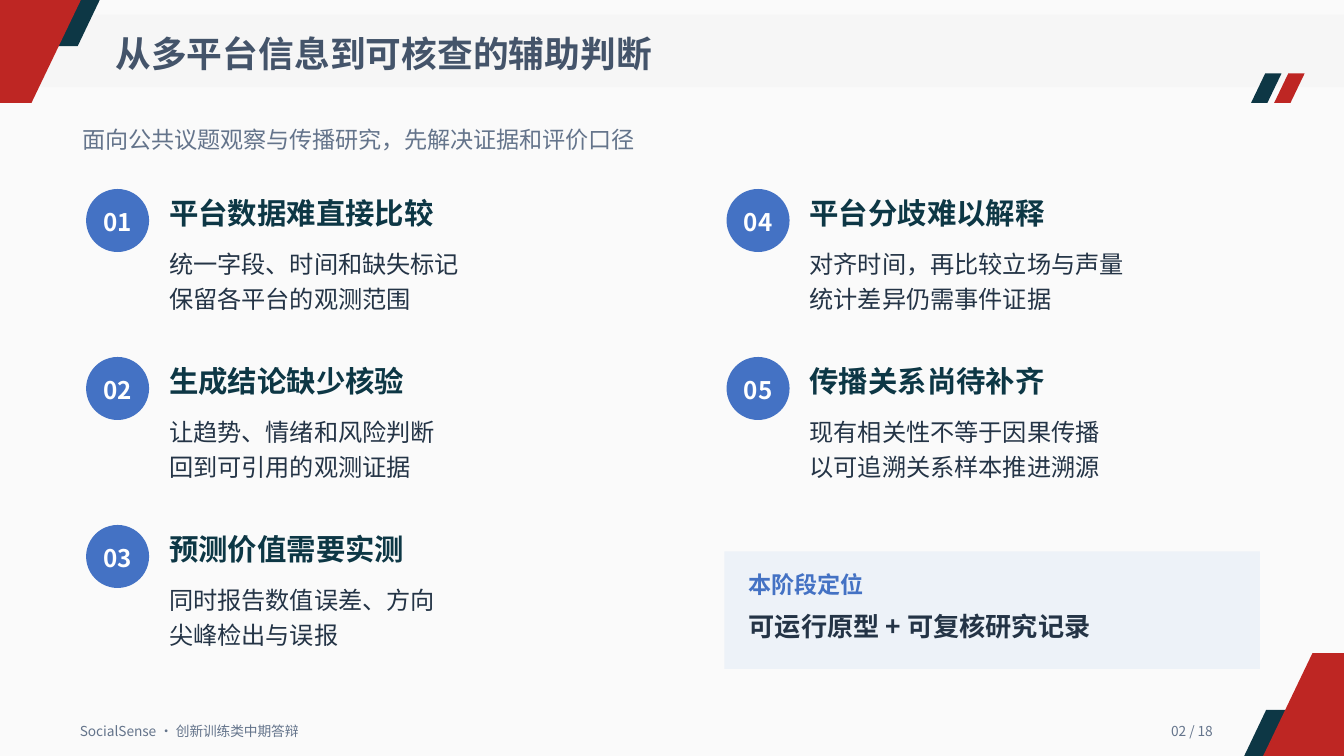
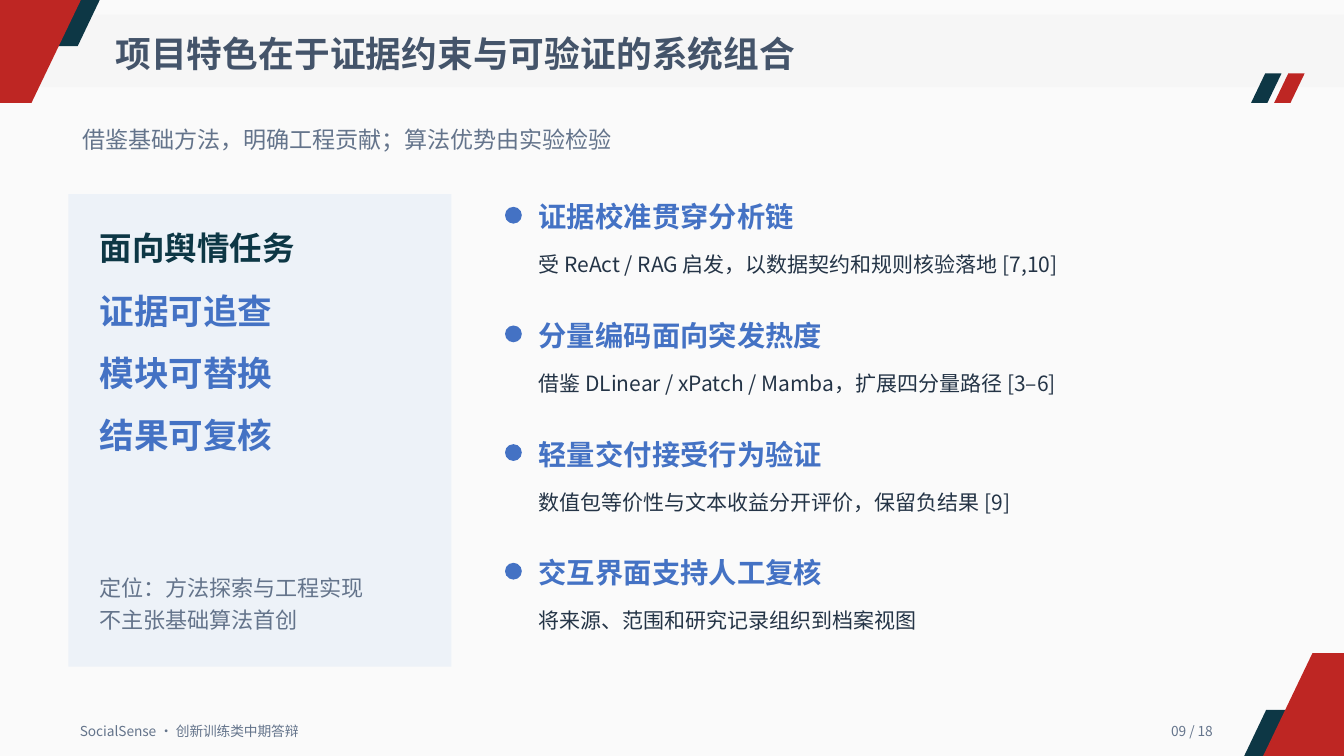
from dataclasses import dataclass

import pptx
import pptx.dml.color
import pptx.enum.shapes
import pptx.enum.text
import pptx.oxml.ns
import pptx.presentation
import pptx.shapes.autoshape
import pptx.slide
import pptx.text.text
import pptx.util
from lxml import etree

RGBColor = pptx.dml.color.RGBColor
Shape = pptx.enum.shapes.MSO_SHAPE
Align = pptx.enum.text.PP_ALIGN

# The slide is a grid of 1280 columns by 720 rows of square cells.
COLUMNS, ROWS = 1280, 720
CELL = pptx.util.Inches(7.5) // ROWS

FONT = "Noto Sans CJK SC"
PAPER = RGBColor(0xFA, 0xFA, 0xFA)
BAND = RGBColor(0xF6, 0xF6, 0xF6)
PANEL = RGBColor(0xED, 0xF2, 0xF8)
NAVY = RGBColor(0x0D, 0x37, 0x45)
RED = RGBColor(0xBE, 0x26, 0x23)
BLUE = RGBColor(0x44, 0x72, 0xC4)
SLATE = RGBColor(0x44, 0x54, 0x6A)
GRAY = RGBColor(0x64, 0x74, 0x8B)
INK = RGBColor(0x24, 0x34, 0x46)
WHITE = RGBColor(0xFF, 0xFF, 0xFF)

FOOTER = "SocialSense · 创新训练类中期答辩"
PAGE_COUNT = 18


@dataclass(frozen=True)
class Area:
    """A rectangle in grid columns and rows."""
    left: float
    top: float
    width: float
    height: float

    def emu(self) -> list[pptx.util.Emu]:
        sides = (self.left, self.top, self.width, self.height)
        return [pptx.util.Emu(round(side * CELL)) for side in sides]


@dataclass(frozen=True)
class Style:
    size: float
    color: RGBColor
    bold: bool = False
    leading: float | None = None
    align: Align = Align.LEFT


@dataclass(frozen=True)
class Corner:
    """A slanted corner piece: widths along its two edges, and its height."""
    outer: int
    inner: int
    height: int
    color: RGBColor


@dataclass(frozen=True)
class Topic:
    heading: str
    body: str


TITLE = Style(25.5, SLATE, bold=True)
SUBTITLE = Style(16.5, GRAY)
SMALL = Style(9.75, GRAY)
PAGE_NUMBER = Style(9.75, GRAY, align=Align.RIGHT)
BADGE = Style(17.25, WHITE, bold=True, align=Align.CENTER)
PROBLEM_HEADING = Style(21, NAVY, bold=True)
PROBLEM_BODY = Style(17.25, INK, leading=25)
STAGE_LABEL = Style(16.5, BLUE, bold=True)
STAGE_TEXT = Style(18.75, INK, bold=True)
TASK_HEADING = Style(23.25, NAVY, bold=True)
TASK_GOALS = Style(24.75, BLUE, bold=True, leading=44.5)
TASK_NOTE = Style(15.75, GRAY, leading=22.8)
FEATURE_HEADING = Style(20.25, BLUE, bold=True)
FEATURE_BODY = Style(15, INK)

CORNERS = (Corner(95, 74, 44, NAVY), Corner(77, 30, 98, RED))

PROBLEMS = (
    Topic("平台数据难直接比较", "统一字段、时间和缺失标记\n保留各平台的观测范围"),
    Topic("生成结论缺少核验", "让趋势、情绪和风险判断\n回到可引用的观测证据"),
    Topic("预测价值需要实测", "同时报告数值误差、方向\n尖峰检出与误报"),
    Topic("平台分歧难以解释", "对齐时间，再比较立场与声量\n统计差异仍需事件证据"),
    Topic("传播关系尚待补齐", "现有相关性不等于因果传播\n以可追溯关系样本推进溯源"),
)
FEATURES = (
    Topic("证据校准贯穿分析链", "受 ReAct / RAG 启发，以数据契约和规则核验落地 [7,10]"),
    Topic("分量编码面向突发热度", "借鉴 DLinear / xPatch / Mamba，扩展四分量路径 [3–6]"),
    Topic("轻量交付接受行为验证", "数值包等价性与文本收益分开评价，保留负结果 [9]"),
    Topic("交互界面支持人工复核", "将来源、范围和研究记录组织到档案视图"),
)


def write(frame: pptx.text.text.TextFrame, text: str, style: Style) -> None:
    """Fill a frame, one paragraph a line, without insets."""
    frame.margin_left = frame.margin_right = 0
    frame.margin_top = frame.margin_bottom = 0
    frame.word_wrap = True
    frame.text = text
    for para in frame.paragraphs:
        para.alignment = style.align
        if style.leading:
            para.line_spacing = pptx.util.Pt(style.leading)
        font = para.font
        font.name = FONT
        font.size = pptx.util.Pt(style.size)
        font.bold = style.bold
        font.color.rgb = style.color
        defaults = para._p.pPr.find(pptx.oxml.ns.qn("a:defRPr"))
        etree.SubElement(defaults, pptx.oxml.ns.qn("a:ea"), typeface=FONT)


def add_text(page: pptx.slide.Slide, area: Area, text: str, style: Style) -> None:
    box = page.shapes.add_textbox(*area.emu())
    write(box.text_frame, text, style)


def paint(shape: pptx.shapes.autoshape.Shape, color: RGBColor) -> None:
    shape.shadow.inherit = False
    shape.fill.solid()
    shape.fill.fore_color.rgb = color
    shape.line.fill.background()


def add_block(page: pptx.slide.Slide, kind: Shape, area: Area,
              color: RGBColor) -> pptx.shapes.autoshape.Shape:
    shape = page.shapes.add_shape(kind, *area.emu())
    paint(shape, color)
    return shape


def add_corner(page: pptx.slide.Slide, corner: Corner, turned: bool) -> None:
    """Draw a piece at the top left or, turned, at the bottom right."""
    points = [(0, 0), (corner.outer, 0), (corner.inner, corner.height), (0, corner.height)]
    if turned:
        points = [(COLUMNS - x, ROWS - y) for x, y in points]
    builder = page.shapes.build_freeform(*points[0], scale=CELL)
    builder.add_line_segments(points[1:], close=True)
    paint(builder.convert_to_shape(), corner.color)


def add_page(deck: pptx.presentation.Presentation, number: int, title: str,
             subtitle: str) -> pptx.slide.Slide:
    """Add a blank page with the shared band, corners, title and footer."""
    page = deck.slides.add_slide(deck.slide_layouts[6])
    add_block(page, Shape.RECTANGLE, Area(0, 14, COLUMNS, 69), BAND)
    for index, color in enumerate((NAVY, RED)):
        slant = add_block(page, Shape.PARALLELOGRAM,
                          Area(1191.5 + 22 * index, 70, 29, 28), color)
        slant.adjustments[0] = 0.48
    for turned in (False, True):
        for corner in CORNERS:
            add_corner(page, corner, turned)
    add_text(page, Area(110, 30, 1000, 53), title, TITLE)
    add_text(page, Area(79, 119, 1000, 34), subtitle, SUBTITLE)
    add_text(page, Area(76, 688, 400, 20), FOOTER, SMALL)
    add_text(page, Area(1055, 688, 100, 20), f"{number:02} / {PAGE_COUNT}", PAGE_NUMBER)
    return page


def add_problem(page: pptx.slide.Slide, index: int, problem: Topic) -> None:
    """Place a numbered problem, filling columns of three from the top."""
    column, row = divmod(index, 3)
    left, top = 82 + 610 * column, 180 + 160 * row
    badge = add_block(page, Shape.OVAL, Area(left, top, 60, 60), BLUE)
    write(badge.text_frame, f"{index + 1:02}", BADGE)
    badge.text_frame.margin_top = pptx.util.Inches(0.03)
    badge.text_frame.vertical_anchor = pptx.enum.text.MSO_ANCHOR.MIDDLE
    add_text(page, Area(left + 79, top + 6, 420, 43), problem.heading, PROBLEM_HEADING)
    add_text(page, Area(left + 79, top + 52, 420, 69), problem.body, PROBLEM_BODY)


def add_feature(page: pptx.slide.Slide, index: int, feature: Topic) -> None:
    top = 190 + 113 * index
    add_block(page, Shape.OVAL, Area(481, top + 7, 16, 16), BLUE)
    add_text(page, Area(513, top, 680, 41), feature.heading, FEATURE_HEADING)
    add_text(page, Area(513, top + 50, 680, 31), feature.body, FEATURE_BODY)


def build_problems(deck: pptx.presentation.Presentation) -> None:
    page = add_page(deck, 2, "从多平台信息到可核查的辅助判断",
                    "面向公共议题观察与传播研究，先解决证据和评价口径")
    for index, problem in enumerate(PROBLEMS):
        add_problem(page, index, problem)
    add_block(page, Shape.RECTANGLE, Area(690, 525, 510, 112), PANEL)
    add_text(page, Area(713, 543, 464, 34), "本阶段定位", STAGE_LABEL)
    add_text(page, Area(713, 581, 464, 38), "可运行原型 + 可复核研究记录", STAGE_TEXT)


def build_features(deck: pptx.presentation.Presentation) -> None:
    page = add_page(deck, 9, "项目特色在于证据约束与可验证的系统组合",
                    "借鉴基础方法，明确工程贡献；算法优势由实验检验")
    add_block(page, Shape.RECTANGLE, Area(65, 185, 365, 450), PANEL)
    add_text(page, Area(95, 217, 305, 48), "面向舆情任务", TASK_HEADING)
    add_text(page, Area(95, 256, 305, 170), "证据可追查\n模块可替换\n结果可复核", TASK_GOALS)
    add_text(page, Area(95, 542, 305, 63), "定位：方法探索与工程实现\n不主张基础算法首创", TASK_NOTE)
    for index, feature in enumerate(FEATURES):
        add_feature(page, index, feature)


def main() -> None:
    deck = pptx.Presentation()
    deck.slide_width = pptx.util.Emu(COLUMNS * CELL)
    deck.slide_height = pptx.util.Emu(ROWS * CELL)
    backdrop = deck.slide_master.background.fill
    backdrop.solid()
    backdrop.fore_color.rgb = PAPER
    build_problems(deck)
    build_features(deck)
    deck.save("out.pptx")


if __name__ == "__main__":
    main()
